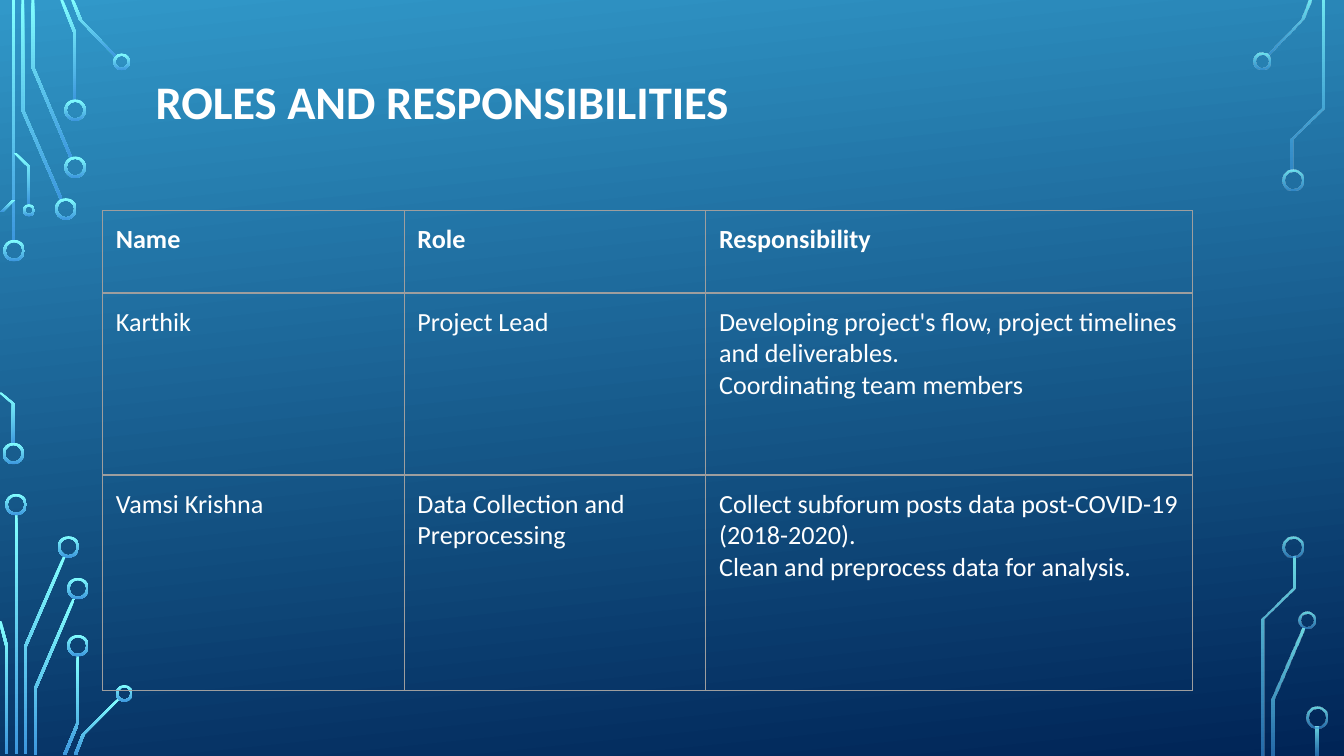
import pptx
import pptx.dml.color
import pptx.enum.shapes
import pptx.enum.text
import pptx.oxml
import pptx.oxml.ns
import pptx.util

Cm = pptx.util.Cm
Pt = pptx.util.Pt
COLORS = {
    "sky": "3198C9", "navy": "002456",
    "cyan": "82FFFF", "blue": "3D97DE",
    "text": "FFFFFF", "border": "9E9E9E",
}
GRID = Cm(2.54) / 100  # circuit coordinates are hundredths of an inch
HALF_TRACE = 1.1
RING_WALL = 1.7


def fill_gradient(fill, top, bottom, angle=270):
    fill.gradient()
    fill.gradient_angle = angle
    for stop, name in zip(fill.gradient_stops, (top, bottom)):
        stop.color.rgb = pptx.dml.color.RGBColor.from_string(COLORS[name])


def style_circuit(part, opacities):
    fill_gradient(part.fill, "cyan", "blue")
    colors = part.fill._xPr.iter(pptx.oxml.ns.qn("a:srgbClr"))
    for color, opacity in zip(colors, opacities):
        color.append(pptx.oxml.parse_xml(
            f'<a:alpha {pptx.oxml.ns.nsdecls("a")} val="{opacity * 1000}"/>'))
    part.line.fill.background()
    part.shadow.inherit = False


deck = pptx.Presentation()
deck.slide_width, deck.slide_height = Cm(25.4), Cm(14.29)
slide = deck.slides.add_slide(deck.slide_layouts[6])
fill_gradient(slide.background.fill, "sky", "navy", angle=276)

# Circuit decoration: traces as centre lines, rings as (centre x, centre y, diameter)
left_side = {
    "traces": [
        [(10, 0), (10, 179)],
        [(17, 0), (17, 82), (46, 149)],
        [(24.5, 0), (24.5, 50), (53, 117.5)],
        [(46, 0), (56, 25), (56, 75)],
        [(54, 0), (60, 15), (86.5, 42.5)],
        [(10.5, 148.5), (1.5, 157.5)],
        [(0, 292), (10, 300.5), (10, 331)],
        [(11.5, 114), (21.5, 124), (21.5, 152)],
        [(12, 382), (12, 561)],
        [(48, 414), (19, 481), (19, 561)],
        [(0, 462), (5, 481), (5, 561)],
        [(55, 445.5), (26.5, 512), (26.5, 562)],
        [(58, 488), (58, 538), (48, 562)],
        [(88.5, 520), (62, 546.5), (56, 562)],
    ],
    "rings": [
        (10.5, 186.5, 16), (10, 337.5, 16), (49, 155.5, 16), (56, 124.5, 16),
        (56, 82, 16), (90.5, 46, 12.5), (21.5, 156.5, 9), (12, 375.5, 16),
        (51, 407, 16), (58, 438, 16), (58, 480.5, 16), (92.5, 516, 12.5),
    ],
    "opacities": (),
}
right_side = {
    "traces": [
        [(975, 0), (969, 14.5), (942.5, 41.5)],
        [(984.5, 0), (984.5, 80.5), (961.5, 103.5), (961.5, 127)],
        [(969.5, 467.5), (947, 520), (947, 562)],
        [(962.5, 414), (962.5, 437.5), (939.5, 460.5), (939.5, 562)],
        [(980, 541), (980, 562)],
    ],
    "rings": [(939, 45.5, 12.5), (962, 134, 16), (972.5, 461.5, 13),
              (962, 407, 16), (980, 534, 16)],
    "opacities": (80, 60),
}
for side in (left_side, right_side):
    for trace in side["traces"]:
        left_edge = [(x - HALF_TRACE, y) for x, y in trace]
        right_edge = [(x + HALF_TRACE, y) for x, y in reversed(trace)]
        start, *bends = [(round(x * GRID), round(y * GRID))
                         for x, y in left_edge + right_edge]
        outline = slide.shapes.build_freeform(*start)
        outline.add_line_segments(bends, close=True)
        style_circuit(outline.convert_to_shape(), side["opacities"])
    for x, y, size in side["rings"]:
        ring = slide.shapes.add_shape(
            pptx.enum.shapes.MSO_SHAPE.DONUT,
            *[round(v * GRID) for v in (x - size / 2, y - size / 2, size, size)])
        ring.adjustments[0] = RING_WALL / size
        style_circuit(ring, side["opacities"])

# Title
title = slide.shapes.add_textbox(Cm(2.69), Cm(1.24), Cm(21.84), Cm(1.6)).text_frame
title.word_wrap = True
title.vertical_anchor = pptx.enum.text.MSO_ANCHOR.TOP
title.margin_left = title.margin_right = Cm(0.25)
title.margin_top = title.margin_bottom = Cm(0.25)
title.text = "ROLES AND RESPONSIBILITIES"
title.paragraphs[0].line_spacing = 0.9
heading = title.paragraphs[0].runs[0].font
heading.name, heading.size, heading.bold = "Calibri", Pt(25), True
heading.color.rgb = pptx.dml.color.RGBColor.from_string(COLORS["text"])

# Table of roles
team = [
    ("Name", "Role", "Responsibility"),
    ("Karthik", "Project Lead",
     "Developing project's flow, project timelines and deliverables.\n"
     "Coordinating team members"),
    ("Vamsi Krishna", "Data Collection and Preprocessing",
     "Collect subforum posts data post-COVID-19 (2018-2020).\n"
     "Clean and preprocess data for analysis."),
]
column_widths = [5.7, 5.7, 9.2]
row_heights = [1.56, 3.44, 4.07]
roles = slide.shapes.add_table(
    len(team), len(column_widths), Cm(1.94), Cm(3.98),
    Cm(sum(column_widths)), Cm(sum(row_heights))).table
roles.first_row = roles.horz_banding = False
for column, width in zip(roles.columns, column_widths):
    column.width = Cm(width)
for row, height in zip(roles.rows, row_heights):
    row.height = Cm(height)

for r, member in enumerate(team):
    for c, entry in enumerate(member):
        cell = roles.cell(r, c)
        cell.margin_left = cell.margin_right = Cm(0.25)
        cell.margin_top = cell.margin_bottom = Cm(0.25)
        cell.text_frame.text = entry
        for paragraph in cell.text_frame.paragraphs:
            font = paragraph.runs[0].font
            font.name, font.size, font.bold = "Calibri", Pt(14), r == 0
            font.color.rgb = pptx.dml.color.RGBColor.from_string(COLORS["text"])
        # Borders come before the fill in the cell properties
        cell_properties = cell._tc.get_or_add_tcPr()
        for edge in ("lnL", "lnR", "lnT", "lnB"):
            cell_properties.append(pptx.oxml.parse_xml(
                f'<a:{edge} {pptx.oxml.ns.nsdecls("a")} w="{Pt(0.75)}"><a:solidFill>'
                f'<a:srgbClr val="{COLORS["border"]}"/></a:solidFill></a:{edge}>'))
        cell.fill.background()

deck.save("out.pptx")
